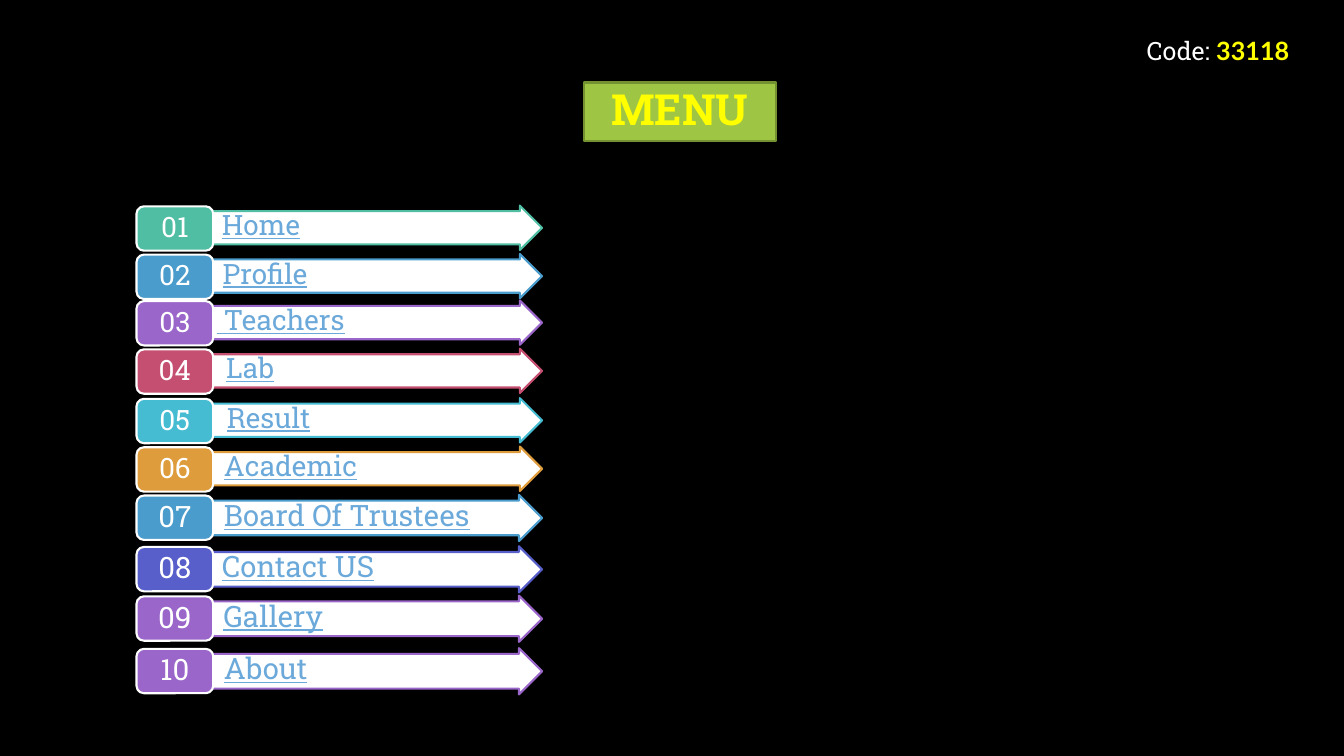
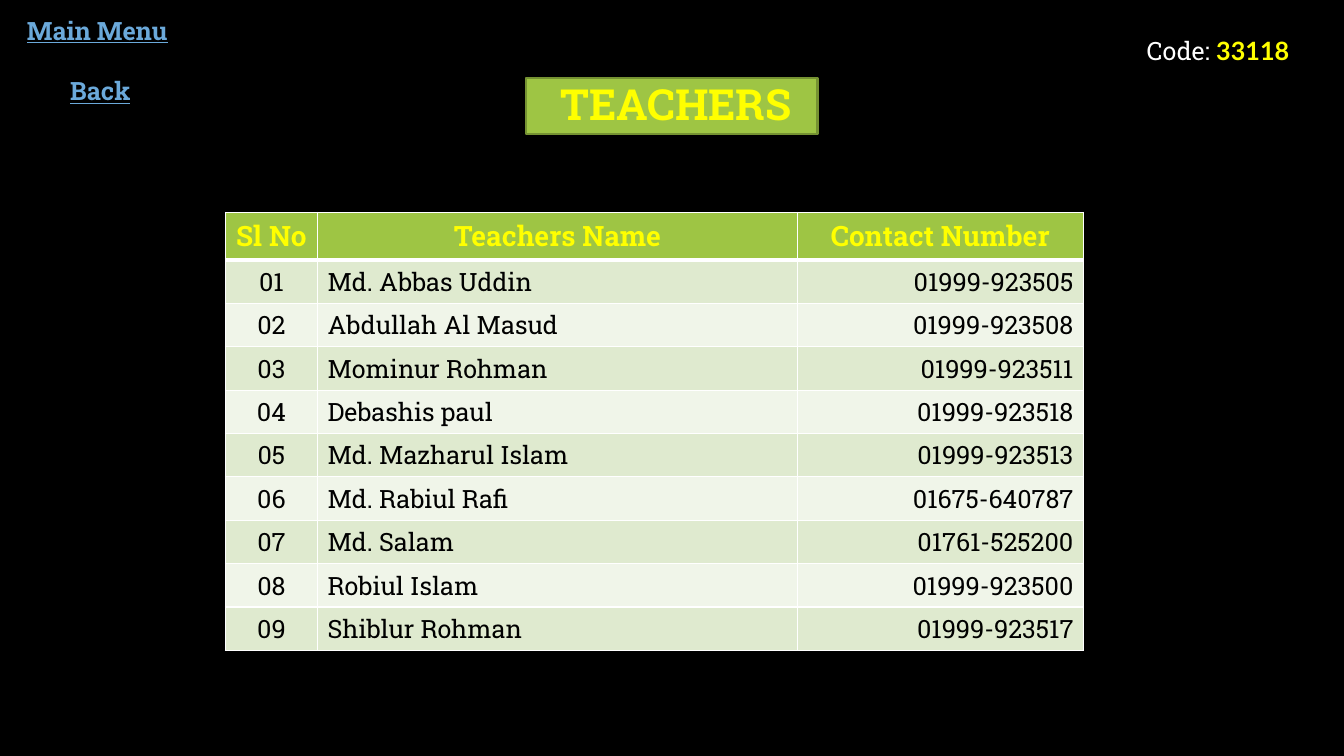
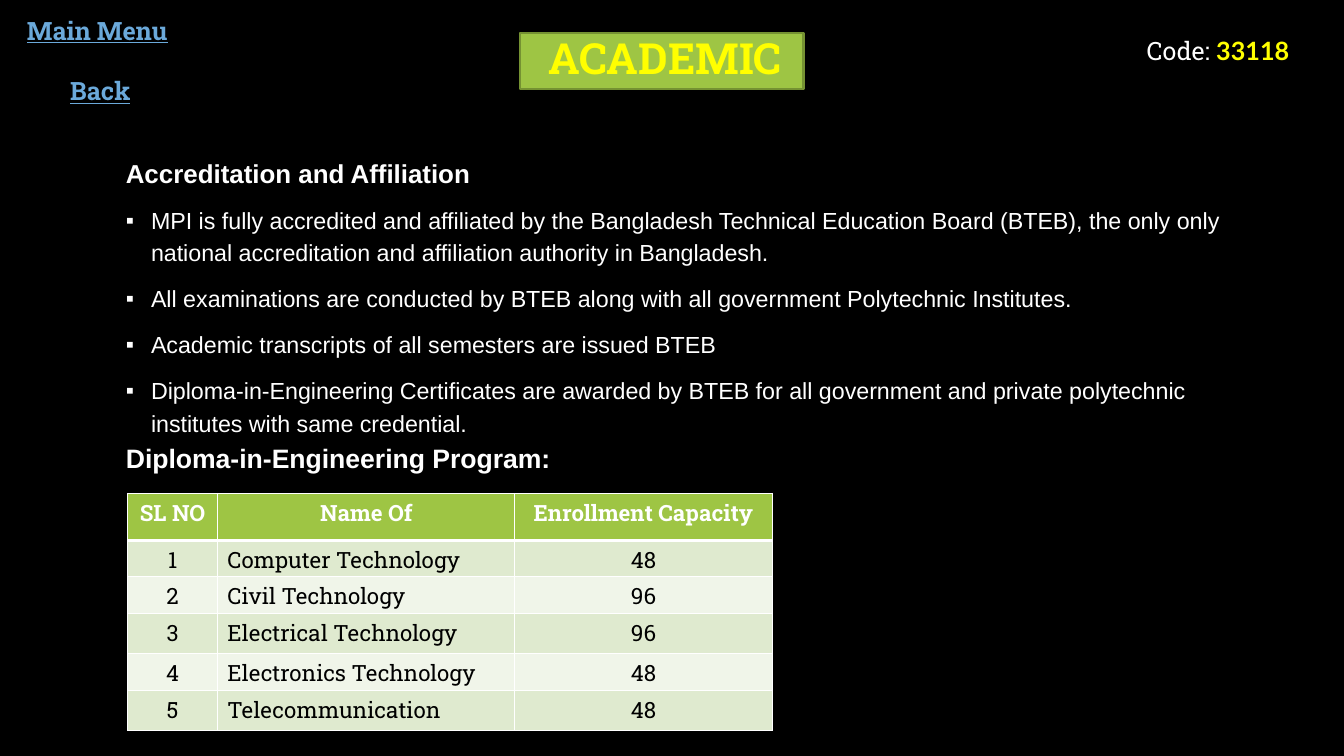
from pptx import Presentation
from pptx.dml.color import RGBColor
from pptx.enum.shapes import MSO_SHAPE
from pptx.enum.text import MSO_ANCHOR, PP_ALIGN
from pptx.oxml.ns import qn
from pptx.util import Pt
from lxml.etree import SubElement

COLORS = {
    "black": "000000", "white": "FFFFFF", "yellow": "FFFF00", "link": "6BA9DA",
    "lime": "9EC544", "olive": "759232", "band_dark": "DFEACF", "band_light": "F0F5E9",
    "green": "50BEA3", "blue": "4A9CCC", "purple": "9A66CA", "rose": "C54F71",
    "cyan": "45BCD2", "orange": "DE9C3C", "indigo": "585FCB",
}
SLAB = "Roboto Slab"
LEFT, CENTER, RIGHT = PP_ALIGN.LEFT, PP_ALIGN.CENTER, PP_ALIGN.RIGHT


def set_font(target, size, color, bold=False, underline=False, name=SLAB):
    font = target.font
    font.name, font.size = name, Pt(size)
    font.bold, font.underline = bold, underline
    font.color.rgb = RGBColor.from_string(COLORS[color])


def add_block(slide, kind, box, fill=None, line=None, text="", align=LEFT):
    lengths = [Pt(value) for value in box]
    if kind is None:
        shape = slide.shapes.add_textbox(*lengths)
    else:
        shape = slide.shapes.add_shape(kind, *lengths)
        shape.shadow.inherit = False
        shape.fill.solid()
        shape.fill.fore_color.rgb = RGBColor.from_string(COLORS[fill])
        shape.line.color.rgb = RGBColor.from_string(COLORS[line])
        shape.line.width = Pt(1.5)
        shape.text_frame.vertical_anchor = MSO_ANCHOR.MIDDLE
    shape.text_frame.word_wrap = True
    paragraph = shape.text_frame.paragraphs[0]
    paragraph.text = text
    paragraph.alignment = align
    return shape, paragraph


presentation = Presentation()
presentation.slide_width, presentation.slide_height = Pt(960), Pt(540)
background = presentation.slide_master.background.fill
background.solid()
background.fore_color.rgb = RGBColor.from_string(COLORS["black"])

titles = [
    ("MENU", (417, 59, 137, 42), 0),
    ("TEACHERS", (376, 56, 208, 40), 6),
    ("ACADEMIC", (371.5, 23.5, 202.5, 40), 5),
]
slides = []
for title, box, title_indent in titles:
    slide = presentation.slides.add_slide(presentation.slide_layouts[6])
    slides.append(slide)
    shape, paragraph = add_block(slide, MSO_SHAPE.RECTANGLE, box, "lime", "olive", title, CENTER)
    shape.text_frame.margin_left, shape.text_frame.margin_right = Pt(title_indent), 0
    paragraph.line_spacing = 0.9
    set_font(paragraph, 30.6, "yellow", bold=True)
    shape, paragraph = add_block(slide, None, (812, 21.6, 120, 29), text="Code: ")
    set_font(paragraph, 18, "white")
    code = paragraph.add_run()
    code.text = "33118"
    set_font(code, 18, "yellow", bold=True, name="Lato")
menu_slide, teachers_slide, academic_slide = slides

for slide in (teachers_slide, academic_slide):
    for label, top, align in (("Main Menu", 7.2, LEFT), ("Back", 50.4, CENTER)):
        shape, paragraph = add_block(slide, None, (12.2, top, 119, 29), text=label, align=align)
        set_font(paragraph, 18, "link", bold=True, underline=True)

menu_items = [
    ("Home", "green", 146.9, 158.5),
    ("Profile", "blue", 181.4, 159),
    (" Teachers", "purple", 214.6, 155),
    ("Lab", "rose", 249.1, 161.5),
    ("Result", "cyan", 284.4, 162),
    ("Academic", "orange", 319, 160),
    ("Board Of Trustees", "blue", 353.5, 160),
    ("Contact US", "indigo", 390.2, 158.5),
    ("Gallery", "purple", 425.5, 159.5),
    ("About", "purple", 463, 160),
]
arrow_left = 138
for number, (label, color, top, text_left) in enumerate(menu_items, 1):
    size, height = (20, 31.7) if number <= 6 else (21, 33)
    arrow, paragraph = add_block(
        menu_slide, MSO_SHAPE.RIGHT_ARROW, (arrow_left, top, 249.2, height), "white", color, label)
    arrow.adjustments[0], arrow.adjustments[1] = 0.75, 0.5
    frame = arrow.text_frame
    frame.margin_left = Pt(text_left - arrow_left)
    frame.margin_top = frame.margin_right = 0
    frame.margin_bottom = Pt(1.5)
    paragraph.line_spacing = 0.9
    set_font(paragraph, size, "link", underline=True)
    badge, paragraph = add_block(
        menu_slide, MSO_SHAPE.ROUNDED_RECTANGLE, (97.5, top + 0.5, 54.8, 31.7),
        color, "white", f"{number:02d}", CENTER)
    badge.text_frame.margin_top = badge.text_frame.margin_bottom = Pt(3)
    paragraph.line_spacing = 0.9
    set_font(paragraph, size, "white")

headings = [
    ("Accreditation and Affiliation", (82.8, 106.5, 826.5, 211.5), 18.5),
    ("Diploma-in-Engineering Program:", (82.8, 312.5, 342, 30), 19),
]
accreditation_points = [
    "MPI is fully accredited and affiliated by the Bangladesh Technical Education Board (BTEB), "
    "the only only national accreditation and affiliation authority in Bangladesh.",
    "All examinations are conducted by BTEB along with all government Polytechnic Institutes.",
    "Academic transcripts of all semesters are issued BTEB",
    "Diploma-in-Engineering Certificates are awarded by BTEB for all government and private "
    "polytechnic institutes with same credential.",
]
heading_shapes = []
for heading, box, size in headings:
    shape, paragraph = add_block(academic_slide, None, box, text=heading)
    set_font(paragraph, size, "white", bold=True, name="Arial")
    heading_shapes.append(shape)
accreditation = heading_shapes[0].text_frame
accreditation.paragraphs[0].line_spacing = 1.1
for point in accreditation_points:
    paragraph = accreditation.add_paragraph()
    paragraph.text = point
    properties = paragraph._p.get_or_add_pPr()
    properties.set("marL", str(Pt(18)))
    properties.set("indent", str(-Pt(18)))
    SubElement(properties, qn("a:buFont"), typeface="Arial")
    SubElement(properties, qn("a:buChar"), char="▪")
    paragraph.line_spacing = 1.15
    paragraph.space_before = Pt(10)
    set_font(paragraph, 16.6, "white", name="Arial")

teacher_rows = [
    ("Sl No", "Teachers Name", "Contact Number"),
    ("01", "Md. Abbas Uddin", "01999-923505"),
    ("02", "Abdullah Al Masud", "01999-923508"),
    ("03", "Mominur Rohman", "01999-923511"),
    ("04", "Debashis paul", "01999-923518"),
    ("05", "Md. Mazharul Islam", "01999-923513"),
    ("06", "Md. Rabiul Rafi", "01675-640787"),
    ("07", "Md. Salam", "01761-525200"),
    ("08", "Robiul Islam", "01999-923500"),
    ("09", "Shiblur Rohman", "01999-923517"),
]
program_rows = [
    ("SL NO", "Name Of", "Enrollment Capacity"),
    ("1", "Computer Technology", "48"),
    ("2", "Civil Technology", "96"),
    ("3", "Electrical Technology", "96"),
    ("4", "Electronics Technology", "48"),
    ("5", "Telecommunication", "48"),
]
tables = [
    (teachers_slide, teacher_rows, (161, 151.7), (65.8, 342.7, 204.5), [34] + [31] * 9,
     (20, 18), "yellow", (CENTER, LEFT, RIGHT), 3.6),
    (academic_slide, program_rows, (91.3, 352.5), (64, 212.5, 183.8),
     [33.6, 25.7, 26.4, 28.6, 26.4, 28.6],
     (16, 16), "white", (CENTER, LEFT, CENTER), 0),
]
for slide, rows, origin, widths, heights, sizes, header_color, aligns, bottom_margin in tables:
    table = slide.shapes.add_table(
        len(rows), len(widths), Pt(origin[0]), Pt(origin[1]), Pt(sum(widths)), Pt(sum(heights))).table
    for column, width in zip(table.columns, widths):
        column.width = Pt(width)
    for row_index, (row, height) in enumerate(zip(rows, heights)):
        table.rows[row_index].height = Pt(height)
        is_header = row_index == 0
        fill = "lime" if is_header else ("band_light", "band_dark")[row_index % 2]
        border_widths = {"L": 1, "R": 1, "T": 3 if row_index == 1 else 1, "B": 3 if is_header else 1}
        for column_index, text in enumerate(row):
            cell = table.cell(row_index, column_index)
            cell.margin_bottom = Pt(bottom_margin)
            properties = cell._tc.get_or_add_tcPr()
            for side, width in border_widths.items():
                border = SubElement(properties, qn("a:ln" + side), w=str(Pt(width)))
                border_fill = SubElement(border, qn("a:solidFill"))
                SubElement(border_fill, qn("a:srgbClr"), val=COLORS["white"])
            cell.fill.solid()
            cell.fill.fore_color.rgb = RGBColor.from_string(COLORS[fill])
            paragraph = cell.text_frame.paragraphs[0]
            paragraph.text = text
            paragraph.alignment = CENTER if is_header else aligns[column_index]
            set_font(paragraph, sizes[0] if is_header else sizes[1],
                     header_color if is_header else "black", bold=is_header)

presentation.save("out.pptx")
